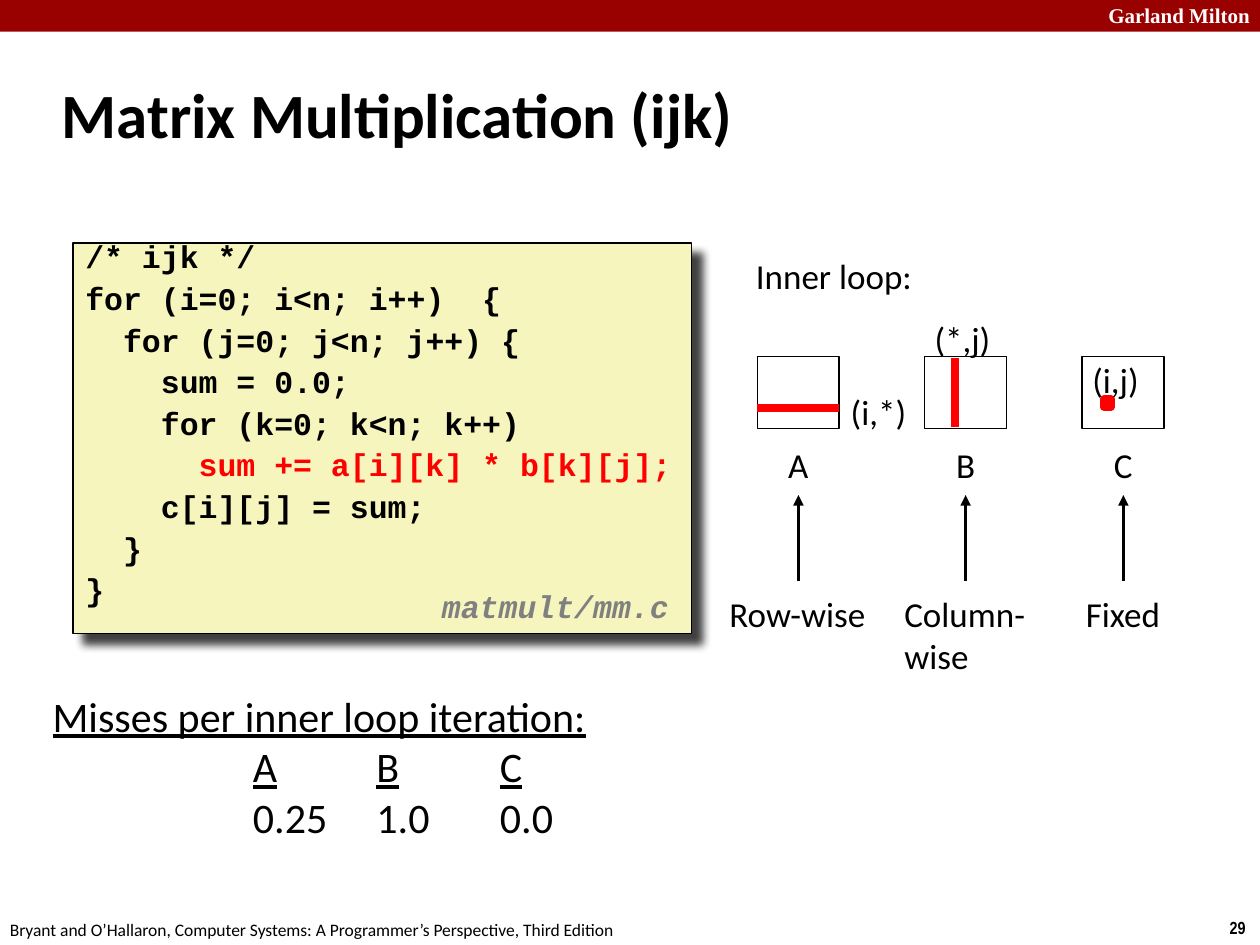
from lxml import etree
from pptx import Presentation
from pptx.dml.color import RGBColor
from pptx.enum import shapes, text
from pptx.oxml import ns
from pptx.util import Cm, Pt

BLACK = RGBColor(0, 0, 0)
WHITE = RGBColor(255, 255, 255)
RED = RGBColor(255, 0, 0)
DARK_RED = RGBColor(0x99, 0, 0)
CREAM = RGBColor(0xF6, 0xF5, 0xBD)
GREY = RGBColor(0x80, 0x80, 0x80)

BODY, CODE = "Calibri", "Courier New"
CODE_LINES = [
    [("/* ijk */", BLACK)],
    [("for (i=0; i<n; i++)  {", BLACK)],
    [("  for (j=0; j<n; j++) {", BLACK)],
    [("    sum = 0.0;", BLACK)],
    [("    for (k=0; k<n; k++)", BLACK)],
    [("      ", BLACK), ("sum += a[i][k] * b[k][j];", RED)],
    [("    c[i][j] = sum;", BLACK)],
    [("  }", BLACK)],
    [("}", BLACK)],
]


def child(parent, tag, **attrs):
    return etree.SubElement(parent, ns.qn(tag), attrs)


def add_run(paragraph, words, size, font=BODY, color=BLACK,
            bold=False, italic=False, underline=False):
    run = paragraph.add_run()
    run.text = words
    run.font.size = Pt(size)
    run.font.name = font
    run.font.color.rgb = color
    run.font.bold = bold
    run.font.italic = italic
    run.font.underline = underline


def add_label(slide, left, top, width, height, lines, size=20,
              align=text.PP_ALIGN.LEFT, wrap=False, **style):
    frame = slide.shapes.add_textbox(Cm(left), Cm(top), Cm(width), Cm(height)).text_frame
    frame.word_wrap = wrap
    for number, line in enumerate(lines):
        paragraph = frame.add_paragraph() if number else frame.paragraphs[0]
        paragraph.alignment = align
        add_run(paragraph, line, size, **style)


def add_box(slide, left, top, width, height, fill, line=None, line_width=1):
    box = slide.shapes.add_shape(shapes.MSO_SHAPE.RECTANGLE,
                                 Cm(left), Cm(top), Cm(width), Cm(height))
    box.shadow.inherit = False
    box.fill.solid()
    box.fill.fore_color.rgb = fill
    if line is None:
        box.line.fill.background()
    else:
        box.line.color.rgb = line
        box.line.width = Pt(line_width)
    return box


def add_line(slide, x1, y1, x2, y2, color, width, arrow=False):
    line = slide.shapes.add_connector(shapes.MSO_CONNECTOR.STRAIGHT,
                                      Cm(x1), Cm(y1), Cm(x2), Cm(y2))
    line.line.color.rgb = color
    line.line.width = Pt(width)
    if arrow:
        child(line.line._get_or_add_ln(), "a:tailEnd", type="triangle")
    child(line._element.spPr, "a:effectLst")


def page_frame(slide, width, height):
    # Top band
    add_box(slide, 0, 0, width, 0.64, DARK_RED)
    add_label(slide, width - 3.83, -0.08, 3.63 + 0.25, 0.76, ["Garland Milton"], 12,
              align=text.PP_ALIGN.RIGHT, font="Times New Roman", color=WHITE, bold=True)
    # Page number and source line
    add_label(slide, width - 0.86, height - 0.69, 0.86, 0.69, ["29"], 10,
              font="Arial Narrow", bold=True)
    add_label(slide, -0.05, height - 0.64, 12.9, 0.69,
              ["Bryant and O’Hallaron, Computer Systems: "
               "A Programmer’s Perspective, Third Edition"], 10)


def slide_title(slide, left, top, width, height):
    title = slide.shapes.title
    title.left, title.top, title.width, title.height = map(Cm, (left, top, width, height))
    title.text_frame.vertical_anchor = text.MSO_ANCHOR.MIDDLE
    paragraph = title.text_frame.paragraphs[0]
    paragraph.alignment = text.PP_ALIGN.LEFT
    add_run(paragraph, "Matrix Multiplication (ijk)", 36, bold=True)


def code_panel(slide, left, top, width, height):
    panel = add_box(slide, left, top, width, height, CREAM, BLACK)
    # Drop shadow
    effects = panel._element.spPr.find(ns.qn("a:effectLst"))
    shadow = child(effects, "a:outerShdw", blurRad=str(Pt(5)), dist=str(Pt(8.5)),
                   dir="2700000", algn="tl", rotWithShape="0")
    child(child(shadow, "a:srgbClr", val=str(BLACK)), "a:alpha", val="75000")
    # Program text
    frame = panel.text_frame
    frame.word_wrap = True
    frame.vertical_anchor = text.MSO_ANCHOR.TOP
    for number, line in enumerate(CODE_LINES):
        paragraph = frame.add_paragraph() if number else frame.paragraphs[0]
        paragraph.alignment = text.PP_ALIGN.LEFT
        paragraph.line_spacing = 0.65
        paragraph.space_before = Pt(9.75)
        for words, color in line:
            add_run(paragraph, words, 18, CODE, color, bold=True)
    # File name
    add_label(slide, left + width - 5.28, top + height - 1.07, 5.28, 0.99,
              ["matmult/mm.c"], 18, font=CODE, color=GREY, bold=True, italic=True)


def matrix_column(slide, left, top, side, height, name, access, access_width):
    middle = left + side / 2
    add_box(slide, left, top, side, height, WHITE, BLACK)
    add_label(slide, middle - 0.46, top + 1.63, 0.92, 1.09, [name],
              align=text.PP_ALIGN.CENTER)
    add_line(slide, middle, top + 4.52, middle, top + 2.79, BLACK, 2, arrow=True)
    add_label(slide, middle - access_width / 2, top + 4.62, access_width, 1.09, access)


def inner_loop(slide, left, top):
    add_label(slide, left, top, 3.68, 1.09, ["Inner loop:"])
    side, height = 1.65, 1.45
    a, b, c = left + 0.28, left + 3.65, left + 6.83
    row = top + 2.19
    for x, name, access, access_width in (
            (a, "A", ["Row-wise"], 3.28),
            (b, "B", ["Column-", "wise"], 2.97),
            (c, "C", ["Fixed"], 2.01)):
        matrix_column(slide, x, row, side, height, name, access, access_width)
    # Elements touched in each matrix
    add_line(slide, a, row + 1.04, a + side, row + 1.04, RED, 4.5)
    add_line(slide, b + 0.61, row + 0.03, b + 0.61, row + height - 0.03, RED, 4.5)
    add_box(slide, c + 0.43, row + 0.86, 0.15, 0.15, RED, RED, 4.5)
    # Index labels
    for x, y, index in ((a + 1.63, row + 0.56, "(i,*)"),
                        (b - 0.05, row - 0.91, "(*,j)"),
                        (c - 0.05, row - 0.08, "(i,j)")):
        add_label(slide, x, y, 1.63, 1.09, [index])


def miss_counts(slide, left, top, width, height):
    frame = slide.shapes.add_textbox(Cm(left), Cm(top), Cm(width), Cm(height)).text_frame
    frame.word_wrap = True
    add_run(frame.paragraphs[0], "Misses per inner loop iteration:", 24, underline=True)
    for values, underline in ((("A", "B", "C"), True), (("0.25", "1.0", "0.0"), False)):
        paragraph = frame.add_paragraph()
        stops = child(paragraph._p.get_or_add_pPr(), "a:tabLst")
        for stop in (1.5, 4.04, 6.53, 9.02):
            child(stops, "a:tab", pos=str(Cm(stop)), algn="l")
        for number, value in enumerate(values):
            add_run(paragraph, "\t" if number else "\t\t", 24)
            add_run(paragraph, value, 24, underline=underline)


def main():
    deck = Presentation()
    width, height = 25.4, 19.05
    deck.slide_width, deck.slide_height = Cm(width), Cm(height)
    slide = deck.slides.add_slide(deck.slide_layouts[5])
    page_frame(slide, width, height)
    slide_title(slide, 0.99, 1.22, 21.08, 2.11)
    code_panel(slide, 1.47, 4.9, 12.47, 7.87)
    inner_loop(slide, 14.99, 5)
    miss_counts(slide, 0.81, 13.79, 14.1, 3.38)
    deck.save("out.pptx")


if __name__ == "__main__":
    main()
